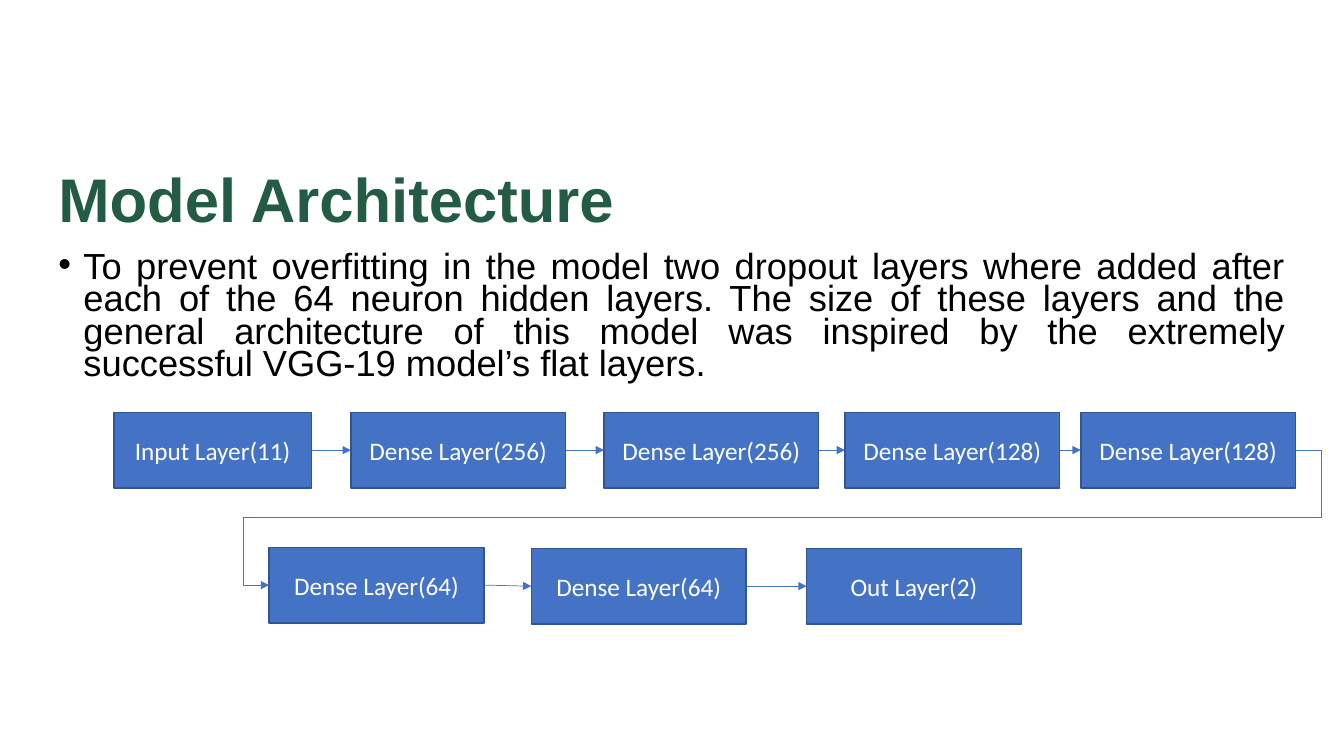
from lxml import etree
from pptx import Presentation
from pptx.dml.color import RGBColor
from pptx.enum.shapes import MSO_CONNECTOR, MSO_SHAPE
from pptx.enum.text import MSO_ANCHOR, PP_ALIGN
from pptx.oxml.ns import qn
from pptx.util import Inches, Pt

RECT = MSO_SHAPE.RECTANGLE
LINE, ELBOW = MSO_CONNECTOR.STRAIGHT, MSO_CONNECTOR.ELBOW
MIDDLE, TOP = MSO_ANCHOR.MIDDLE, MSO_ANCHOR.TOP
LEFT, CENTER, JUST = PP_ALIGN.LEFT, PP_ALIGN.CENTER, PP_ALIGN.JUSTIFY

WIDE, HIGH = 13.33, 7.5
GREEN, BLACK, WHITE, BLUE, NAVY = "245B45", "000000", "FFFFFF", "4472C4", "325491"
TITLE = "Model Architecture"
BODY = (
    "To prevent overfitting in the model two dropout layers where added after "
    "each of the 64 neuron hidden layers. The size of these layers and the "
    "general architecture of this model was inspired by the extremely "
    "successful VGG-19 model’s flat layers."
)
MARGIN, BOX_W, BOX_H = 0.48, 2.13, 0.75
ROW_1, ROW_2 = 4.09, 5.44
LAYERS = [
    ("Input Layer(11)", 1.13, ROW_1, 1.96),
    ("Dense Layer(256)", 3.48, ROW_1, BOX_W),
    ("Dense Layer(256)", 5.99, ROW_1, BOX_W),
    ("Dense Layer(128)", 8.38, ROW_1, BOX_W),
    ("Dense Layer(128)", 10.72, ROW_1, BOX_W),
    ("Dense Layer(64)", 2.67, ROW_2 - 0.01, BOX_W),
    ("Dense Layer(64)", 5.27, ROW_2, BOX_W),
    ("Out Layer(2)", 8, ROW_2, BOX_W),
]
BENDS = {"adj1": -2500, "adj2": 50000, "adj3": 102500}


def color(code):
    """Turn a hex string into a colour."""
    return RGBColor.from_string(code)


def write(shape, text, size, face, ink, align, anchor):
    """Fill a shape with one styled paragraph and return it."""
    frame = shape.text_frame
    frame.word_wrap = True
    frame.vertical_anchor = anchor
    para = frame.paragraphs[0]
    para.text = text
    para.alignment = align
    para.font.size = Pt(size)
    para.font.name = face
    para.font.color.rgb = color(ink)
    return para


def add_text(slide, top, width, height, *style):
    """Add a text box at the left margin and return its paragraph."""
    box = slide.shapes.add_textbox(*map(Inches, (MARGIN, top, width, height)))
    return write(box, *style)


def add_bullet(para, indent):
    """Give a paragraph a hanging round bullet."""
    props = para._p.get_or_add_pPr()
    props.set("marL", str(Inches(indent)))
    props.set("indent", str(-Inches(indent)))
    etree.SubElement(props, qn("a:buFont")).set("typeface", "Arial")
    etree.SubElement(props, qn("a:buChar")).set("char", "•")


def add_layer(slide, text, left, top, width):
    """Add one labelled layer box."""
    box = slide.shapes.add_shape(RECT, *map(Inches, (left, top, width, BOX_H)))
    box.shadow.inherit = False
    box.fill.solid()
    box.fill.fore_color.rgb = color(BLUE)
    box.line.color.rgb = color(NAVY)
    box.line.width = Pt(1)
    write(box, text, 18, "Calibri", WHITE, CENTER, MIDDLE)
    return box


def add_arrow(slide, start, end):
    """Join two layers, bending when the next one starts a new row."""
    bent = end.left < start.left
    arrow = slide.shapes.add_connector(ELBOW if bent else LINE, 0, 0, 0, 0)
    arrow.begin_connect(start, 3)
    arrow.end_connect(end, 1)
    arrow.line.color.rgb = color(BLUE)
    arrow.line.width = Pt(0.5)
    props = arrow._element.spPr
    etree.SubElement(props.find(qn("a:ln")), qn("a:tailEnd")).set("type", "triangle")
    etree.SubElement(props, qn("a:effectLst"))
    if bent:
        shape = props.find(qn("a:prstGeom"))
        shape.set("prst", "bentConnector5")
        guides = shape.find(qn("a:avLst"))
        for name, value in BENDS.items():
            guide = etree.SubElement(guides, qn("a:gd"))
            guide.set("name", name)
            guide.set("fmla", f"val {value}")


def main():
    """Build the slide and save it."""
    deck = Presentation()
    deck.slide_width, deck.slide_height = Inches(WIDE), Inches(HIGH)
    slide = deck.slides.add_slide(deck.slide_layouts[6])
    title = add_text(slide, 1.55, 11.5, 0.92, TITLE, 44, "Arial", GREEN, LEFT, MIDDLE)
    title.font.bold = True
    title.line_spacing = 0.9
    body = add_text(slide, 2.47, WIDE - 2 * MARGIN, 1.33,
                    BODY, 25.9, "Arial", BLACK, JUST, TOP)
    body.line_spacing = 0.74
    body.space_before = Pt(10)
    add_bullet(body, 0.25)
    boxes = [add_layer(slide, *layer) for layer in LAYERS]
    for start, end in zip(boxes, boxes[1:]):
        add_arrow(slide, start, end)
    deck.save("out.pptx")


if __name__ == "__main__":
    main()
